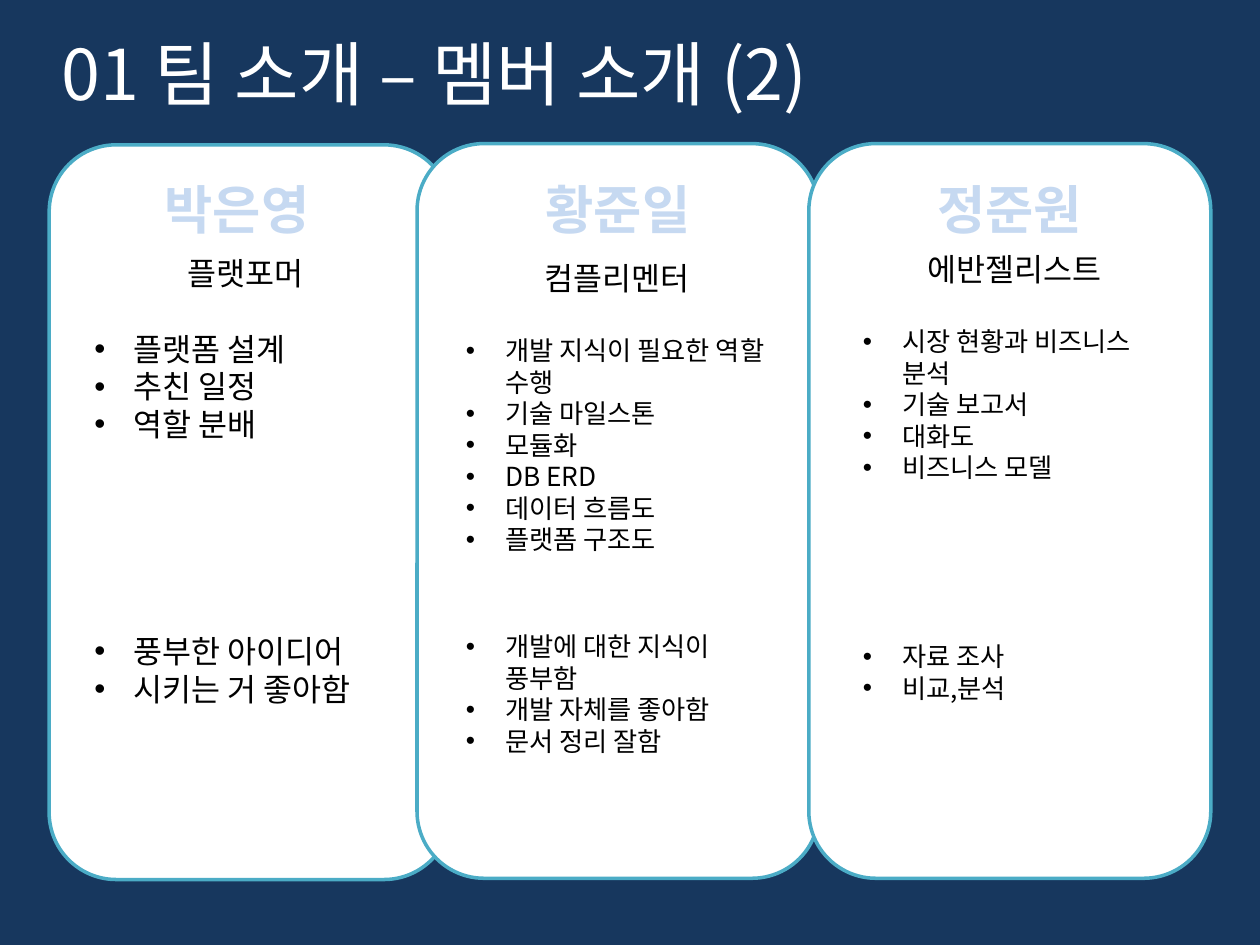
from pptx import Presentation
from pptx.util import Pt
from pptx.dml.color import RGBColor
from pptx.enum.shapes import MSO_SHAPE as Shape
from pptx.enum.text import PP_ALIGN as Align
from pptx.oxml.ns import qn
from lxml.etree import SubElement as sub

FONT = "Noto Sans CJK KR"
NAVY, WHITE, TEAL, PALE, BLACK = "17375E", "FFFFFF", "4BACC6", "C6D9F1", "000000"
LEAD = 1.2
INDENT = 22.5
CARD_W, CARD_H = 229.7, 419.8
BODY_W = 187.2

TITLE = "01 팀 소개 – 멤버 소개 (2)"
MEMBERS = [
    dict(name="박은영", role="플랫포머", card=(28.1, 82.8), name_w=214.6,
         body=(46.8, 139.7, 334), size=18, gap=108,
         tasks=["플랫폼 설계", "추친 일정", "역할 분배"],
         traits=["풍부한 아이디어", "시키는 거 좋아함"]),
    dict(name="황준일", role="컴플리멘터", card=(238.3, 82.1), name_w=CARD_W,
         body=(259.2, 142.6, 291), size=15, gap=43.2,
         tasks=["개발 지식이 필요한 역할 수행", "기술 마일스톤", "모듈화",
                "DB ERD", "데이터 흐름도", "플랫폼 구조도"],
         traits=["개발에 대한 지식이 풍부함", "개발 자체를 좋아함", "문서 정리 잘함"]),
    dict(name="정준원", role="에반젤리스트", card=(462.2, 82.1), name_w=CARD_W,
         body=(486, 137.5, 291), size=15, gap=90,
         tasks=["시장 현황과 비즈니스 분석", "기술 보고서", "대화도", "비즈니스 모델"],
         traits=["자료 조사", "비교,분석"]),
]


def rgb(code):
    return RGBColor.from_string(code)


def add_box(left, top, width, height, size):
    box = slide.shapes.add_textbox(Pt(left), Pt(top), Pt(width), Pt(height))
    frame = box.text_frame
    frame.word_wrap = True
    frame.margin_top = Pt(3.6 + size / 10)
    return frame


def write(frame, text, size=18, color=BLACK, bold=False, align=Align.LEFT,
          bullet=False, before=0):
    para = frame.paragraphs[0]
    if para.runs:
        para = frame.add_paragraph()
    para.alignment = align
    para.line_spacing = Pt(size * LEAD)
    para.space_before = Pt(before)
    if bullet:
        props = para._p.get_or_add_pPr()
        props.set("marL", str(Pt(INDENT)))
        props.set("indent", str(-Pt(INDENT)))
        sub(props, qn("a:buFont")).set("typeface", "Arial")
        sub(props, qn("a:buChar")).set("char", "•")
    run = para.add_run()
    run.text = text
    font = run.font
    font.size, font.bold, font.name = Pt(size), bold, FONT
    font.color.rgb = rgb(color)
    sub(run._r.get_or_add_rPr(), qn("a:ea")).set("typeface", FONT)


def add_card(left, top):
    card = slide.shapes.add_shape(
        Shape.ROUNDED_RECTANGLE, Pt(left), Pt(top), Pt(CARD_W), Pt(CARD_H))
    card.shadow.inherit = False
    card.fill.solid()
    card.fill.fore_color.rgb = rgb(WHITE)
    card.line.color.rgb = rgb(TEAL)
    card.line.width = Pt(2)


deck = Presentation()
deck.slide_width, deck.slide_height = Pt(720), Pt(540)
slide = deck.slides.add_slide(deck.slide_layouts[6])
slide.background.fill.solid()
slide.background.fill.fore_color.rgb = rgb(NAVY)

write(add_box(28.1, 10.1, 649.4, 55.4, 40), TITLE, size=40, color=WHITE)

for member in MEMBERS:
    add_card(*member["card"])

for member in MEMBERS:
    name = add_box(member["card"][0], 94.3, member["name_w"], 43.9, 30)
    write(name, member["name"], size=30, color=PALE, bold=True, align=Align.CENTER)

for member in MEMBERS:
    left, top, height = member["body"]
    body = add_box(left, top, BODY_W, height, 18)
    write(body, member["role"], align=Align.CENTER)
    for items, gap in ((member["tasks"], 18 * LEAD), (member["traits"], member["gap"])):
        for i, item in enumerate(items):
            write(body, item, size=member["size"], bullet=True,
                  before=0 if i else gap)

deck.save("out.pptx")
